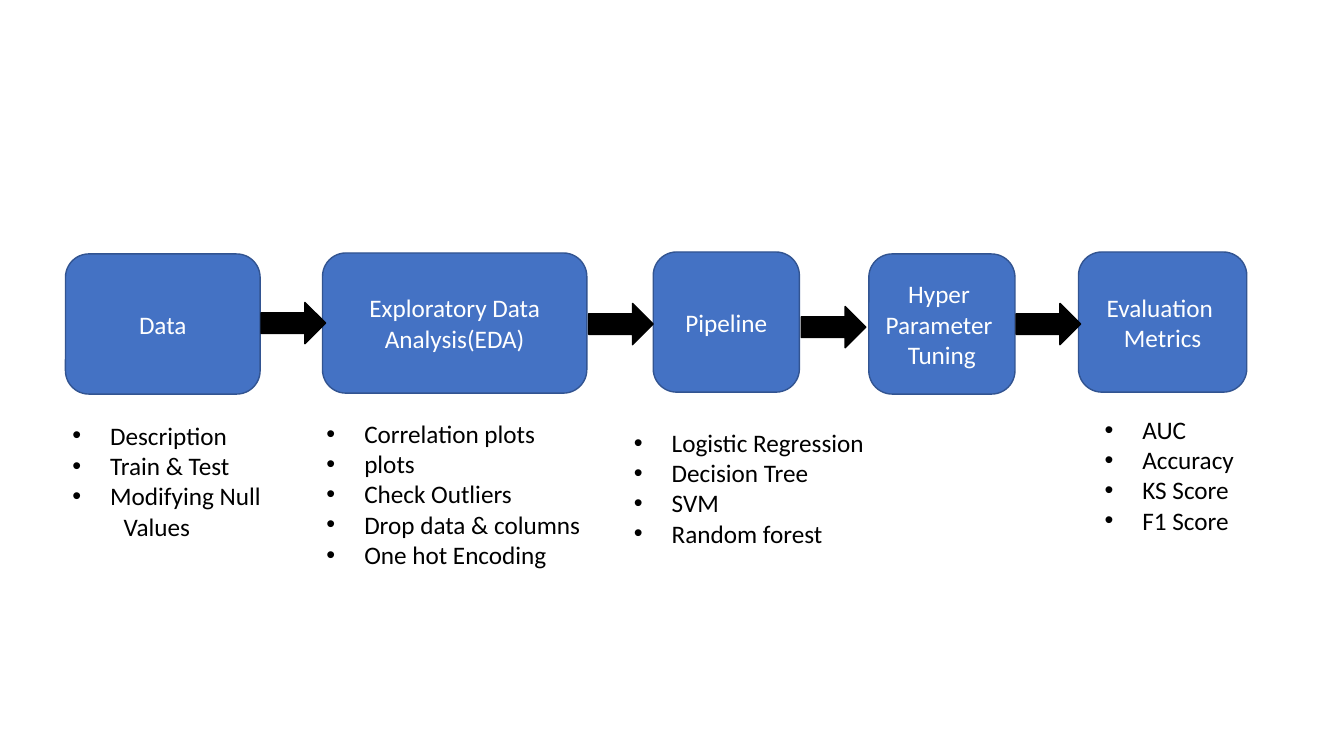
import pptx
import pptx.util
import pptx.dml.color
import pptx.enum.shapes
import pptx.enum.text
import pptx.oxml.ns
import lxml.etree

Pt = pptx.util.Pt
KIND = pptx.enum.shapes.MSO_SHAPE
ALIGN = pptx.enum.text.PP_ALIGN
ANCHOR = pptx.enum.text.MSO_ANCHOR

STEPS = [
    (46.8, 181.4, 139, ["Data"]),
    (230.4, 180.7, 188.8, ["Exploratory Data Analysis(EDA)"]),
    (466.6, 180, 104.4, ["Pipeline"]),
    (620.6, 181.4, 104.4, ["Hyper ", "Parameter ", "Tuning"]),
    (770.4, 180, 120.2, ["Evaluation ", "Metrics"]),
]
ARROWS = [(186.5, 216), (420.5, 216.7), (572.4, 218.9), (725.8, 216.7)]
LISTS = [
    (44.6, 296.6, 199.4, ["Description", "Train & Test", "Modifying Null"], "Values"),
    (226.1, 295.2, 198, ["Correlation plots", "plots", "Check Outliers",
                         "Drop data & columns", "One hot Encoding"], None),
    (445.7, 301.7, 180.7, ["Logistic Regression", "Decision Tree", "SVM",
                           "Random forest"], None),
    (781.9, 292.3, 108, ["AUC", "Accuracy", "KS Score", "F1 Score"], None),
]
STEP_H = 100.1
ARROW_W, ARROW_H = 46.1, 29.5
LINE_H, INSET = 21.6, 7.2
INDENT, HANG = 27, 36.7


def color(code):
    return pptx.dml.color.RGBColor.from_string(code)


def write(frame, lines, ink="000000", align=ALIGN.LEFT, bullet=False, tail=None):
    for n, text in enumerate(lines + ([tail] if tail else [])):
        para = frame.paragraphs[0] if n == 0 else frame.add_paragraph()
        para.alignment = align
        run = para.add_run()
        run.text = text
        run.font.size = Pt(18)
        run.font.name = "Calibri"
        run.font.color.rgb = color(ink)
        if bullet:
            props = para._p.get_or_add_pPr()
            last = n == len(lines)
            props.set("marL", str(Pt(HANG if last else INDENT)))
            props.set("indent", str(0 if last else -Pt(INDENT)))
            if not last:
                font = lxml.etree.SubElement(props, pptx.oxml.ns.qn("a:buFont"))
                font.set("typeface", "Arial")
                mark = lxml.etree.SubElement(props, pptx.oxml.ns.qn("a:buChar"))
                mark.set("char", "•")


def block(slide, kind, place, fill, edge):
    shape = slide.shapes.add_shape(kind, *map(Pt, place))
    shape.shadow.inherit = False
    shape.fill.solid()
    shape.fill.fore_color.rgb = color(fill)
    shape.line.color.rgb = color(edge)
    shape.line.width = Pt(1)
    return shape


def main():
    """Build the model workflow slide."""
    deck = pptx.Presentation()
    deck.slide_width, deck.slide_height = Pt(960), Pt(540)
    slide = deck.slides.add_slide(deck.slide_layouts[6])

    for left, top, width, lines in STEPS:
        place = (left, top, width, STEP_H)
        step = block(slide, KIND.ROUNDED_RECTANGLE, place, "4472C4", "325491")
        frame = step.text_frame
        frame.word_wrap = True
        frame.vertical_anchor = ANCHOR.MIDDLE
        write(frame, lines, ink="FFFFFF", align=ALIGN.CENTER)

    for left, top in ARROWS:
        place = (left, top, ARROW_W, ARROW_H)
        block(slide, KIND.RIGHT_ARROW, place, "000000", "000000")

    for left, top, width, lines, tail in LISTS:
        rows = len(lines) + bool(tail)
        high = rows * LINE_H + INSET
        box = slide.shapes.add_textbox(*map(Pt, (left, top, width, high)))
        box.text_frame.word_wrap = bool(tail)
        write(box.text_frame, lines, bullet=True, tail=tail)

    deck.save("out.pptx")


if __name__ == "__main__":
    main()
